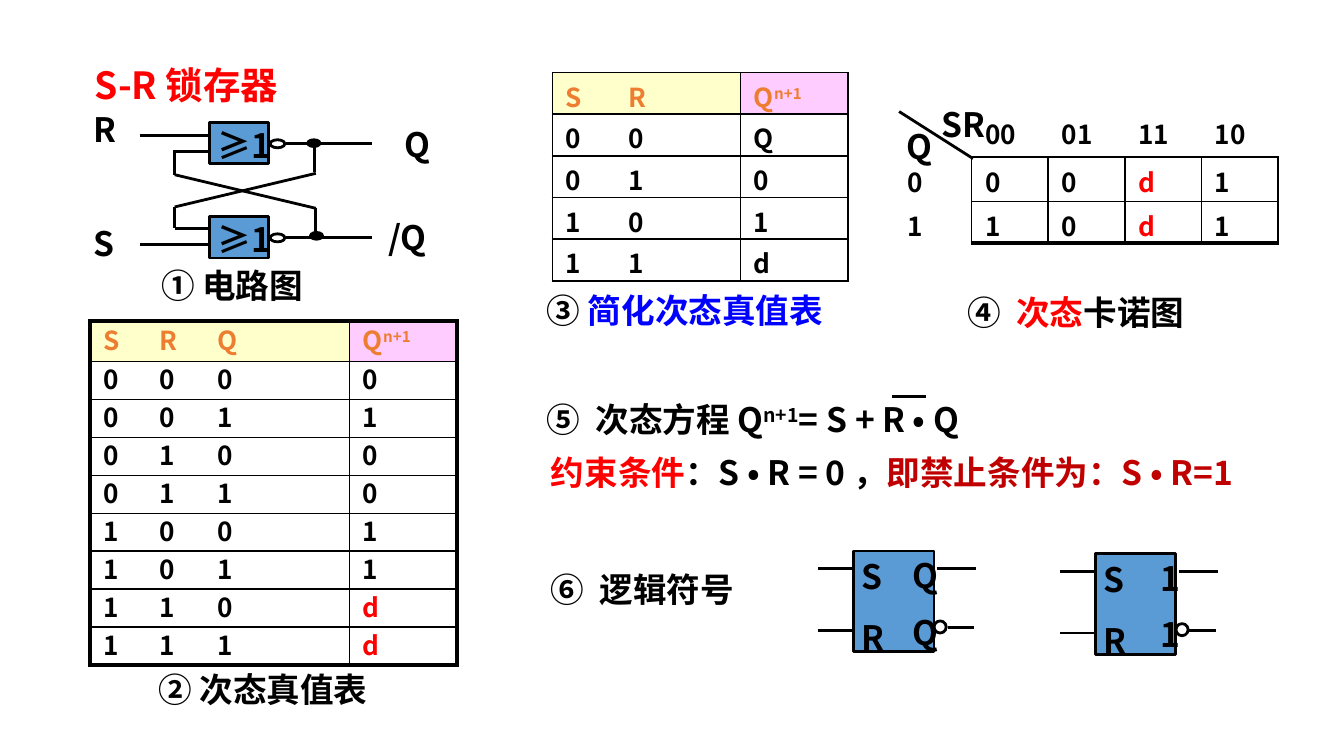
"""Build the S-R latch summary slide with circuit, tables, Karnaugh map and symbols."""
from typing import NamedTuple

from lxml.etree import SubElement
from pptx import Presentation
from pptx.dml.color import RGBColor
from pptx.enum.shapes import MSO_CONNECTOR, MSO_SHAPE as SHAPE
from pptx.enum.text import MSO_ANCHOR as ANCHOR, MSO_AUTO_SIZE as AUTO
from pptx.oxml.ns import qn
from pptx.util import Inches, Pt

JP, SC = "Noto Sans CJK JP", "Noto Sans CJK SC"
BLACK, RED, BLUE, DARK_RED = "000000", "FF0000", "0000FF", "C00000"
ORANGE, GATE, WHITE, YELLOW, PINK = "ED7D31", "5B9BD5", "FFFFFF", "FFFFCC", "FFCCFF"
NO_GRID = "{2D5ABB26-0587-4C30-8999-92F81FD0307C}"


class Run(NamedTuple):
    text: str
    color: str = BLACK
    raised: bool = False


class Label(NamedTuple):
    x: float
    y: float
    w: float
    runs: list[Run]
    h: float = 0.4
    font: str = SC


class Wire(NamedTuple):
    x1: float
    y1: float
    x2: float
    y2: float


class Cell(NamedTuple):
    runs: list[Run]
    fill: str = ""
    borders: dict[str, float] = {}


class Grid(NamedTuple):
    x: float
    y: float
    cols: list[float]
    rows: list[float]
    cells: list[list[Cell]]
    top: float
    tabs: tuple[float, ...] = ()
    spacing: float = 1.0


def rgb(value: str) -> RGBColor:
    return RGBColor.from_string(value)


def write(p, runs: list[Run], font: str, size: float) -> None:
    for run in runs:
        r = p.add_run()
        r.text = run.text
        for name, value in {"name": font, "size": Pt(size), "bold": True}.items():
            setattr(r.font, name, value)
        r.font.color.rgb = rgb(run.color)
        rPr = r._r.get_or_add_rPr()
        SubElement(rPr, qn("a:ea")).set("typeface", font)
        if run.raised:
            rPr.set("baseline", "30000")


def add_label(s, label: Label) -> None:
    sp = s.shapes.add_textbox(*map(Inches, (label.x, label.y, label.w, label.h)))
    tf = sp.text_frame
    fmt = {"word_wrap": True, "auto_size": AUTO.SHAPE_TO_FIT_TEXT,
           "vertical_anchor": ANCHOR.MIDDLE}
    for name, value in fmt.items():
        setattr(tf, name, value)
    write(tf.paragraphs[0], label.runs, label.font, 18)


def add_title(s, text: str) -> None:
    sp = s.shapes.add_textbox(*map(Inches, (0.42, 0.45, 5.75, 0.56)))
    tf = sp.text_frame
    fmt = {"word_wrap": True, "margin_left": Inches(0.28), "margin_top": Inches(0.05)}
    for name, value in fmt.items():
        setattr(tf, name, value)
    p = tf.paragraphs[0]
    p.line_spacing = 0.9
    write(p, [Run(text, RED)], JP, 20)


def add_figure(s, kind: SHAPE, x: float, y: float, w: float, h: float, fill: str = "") -> None:
    sp = s.shapes.add_shape(kind, *map(Inches, (x, y, w, h)))
    sp.shadow.inherit = False
    if fill:
        sp.fill.solid()
        sp.fill.fore_color.rgb = rgb(fill)
    else:
        sp.fill.background()
    sp.line.color.rgb = rgb(BLACK)
    sp.line.width = Pt(1.5)


def add_wire(s, wire: Wire) -> None:
    cx = s.shapes.add_connector(MSO_CONNECTOR.STRAIGHT, *map(Inches, wire))
    cx.line.color.rgb = rgb(BLACK)
    cx.line.width = Pt(1.5)
    SubElement(cx._element.spPr, qn("a:effectLst"))


def set_borders(cell, borders: dict[str, float]) -> None:
    tcPr = cell._tc.get_or_add_tcPr()
    for at, side in enumerate(side for side in "LRTB" if side in borders):
        ln = SubElement(tcPr, qn(f"a:ln{side}"), w=str(Pt(borders[side])))
        SubElement(SubElement(ln, qn("a:solidFill")), qn("a:srgbClr"), val=BLACK)
        tcPr.insert(at, ln)


def add_grid(s, g: Grid) -> None:
    box = map(Inches, (g.x, g.y, sum(g.cols), sum(g.rows)))
    frame = s.shapes.add_table(len(g.rows), len(g.cols), *box)
    table = frame.table
    table.first_row = table.horz_banding = False
    table._tbl.tblPr.find(qn("a:tableStyleId")).text = NO_GRID
    for col, width in zip(table.columns, g.cols):
        col.width = Inches(width)
    for i, height in enumerate(g.rows):
        table.rows[i].height = Inches(height)
        for j, content in enumerate(g.cells[i]):
            cell = table.cell(i, j)
            fmt = {"vertical_anchor": ANCHOR.MIDDLE, "margin_left": Inches(0.1),
                   "margin_right": Inches(0.1), "margin_top": Inches(g.top), "margin_bottom": 0}
            for name, value in fmt.items():
                setattr(cell, name, value)
            if content.fill:
                cell.fill.solid()
                cell.fill.fore_color.rgb = rgb(content.fill)
            else:
                cell.fill.background()
            set_borders(cell, content.borders)
            p = cell.text_frame.paragraphs[0]
            if g.tabs and j == 0:
                tabs = SubElement(p._p.get_or_add_pPr(), qn("a:tabLst"))
                for pos in g.tabs:
                    SubElement(tabs, qn("a:tab"), pos=str(Inches(pos)), algn="l")
            p.line_spacing = g.spacing
            write(p, content.runs, SC, 14)


def truth_cells(inputs: str, outputs: str, edge: float, mark: str) -> list[list[Cell]]:
    n, size = len(outputs), len(inputs)
    next_state = [Run("Q", ORANGE), Run("n+1", ORANGE, True)]
    texts = [([Run("\t".join(inputs), ORANGE)], next_state)]
    for i, out in enumerate(outputs):
        bits = "\t".join(f"{i:0{size}b}")
        texts.append(([Run(bits)], [Run(out, mark if out == "d" else BLACK)]))
    cells = []
    for i, (left, right) in enumerate(texts):
        ends = {"T": edge if i == 0 else 1, "B": edge if i == n else 1}
        fills = (YELLOW, PINK) if i == 0 else (WHITE, WHITE)
        cells.append([Cell(left, fills[0], {"L": edge, "R": 1, **ends}),
                      Cell(right, fills[1], {"L": 1, "R": edge, **ends})])
    return cells


def karnaugh_cells() -> list[list[Cell]]:
    cells = [[Cell([])] + [Cell([Run(t)]) for t in ("00", "01", "11", "10")]]
    for head, values, bottom in (("0", "00d1", 1), ("1", "10d1", 2.25)):
        box = {"L": 1, "R": 1, "T": 1, "B": bottom}
        cells.append([Cell([Run(head)], "", {"R": 1})] +
                     [Cell([Run(v, RED if v == "d" else BLACK)], WHITE, box) for v in values])
    return cells


def add_nor_gate(s, y: float) -> None:
    add_figure(s, SHAPE.RECTANGLE, 1.56, y, 0.44, 0.31, GATE)
    add_label(s, Label(1.52, y - 0.02, 0.73, [Run("≥1")], 0.38))
    add_figure(s, SHAPE.OVAL, 2.01, y + 0.13, 0.11, 0.06)
    add_wire(s, Wire(2.13, y + 0.16, 2.77, y + 0.16))


def add_symbol(s, x: float, y: float, output: str, output_x: float) -> None:
    add_figure(s, SHAPE.RECTANGLE, x, y, 0.6, 0.75, GATE)
    add_figure(s, SHAPE.OVAL, x + 0.6, y + 0.52, 0.09, 0.09)
    for x1, x2, dy in ((-0.26, 0, 0.13), (-0.26, 0, 0.59), (0.62, 0.91, 0.13), (0.7, 0.9, 0.57)):
        add_wire(s, Wire(x + x1, y + dy, x + x2, y + dy))
    for left, dy, text in ((x - 0.04, -0.01, "S"), (x - 0.04, 0.44, "R"),
                           (output_x, -0.02, output), (output_x, 0.4, output)):
        add_label(s, Label(left, y + dy, 0.27, [Run(text)]))


WIRES = [
    Wire(1.04, 1.01, 1.56, 1.01), Wire(1.04, 1.82, 1.56, 1.82),
    Wire(1.29, 1.13, 1.55, 1.13), Wire(1.3, 1.7, 1.57, 1.7),
    Wire(1.3, 1.14, 1.3, 1.3), Wire(1.3, 1.54, 1.3, 1.7),
    Wire(2.34, 1.08, 2.34, 1.28), Wire(2.35, 1.55, 2.35, 1.75),
    Wire(1.3, 1.3, 2.35, 1.55), Wire(2.35, 1.29, 1.3, 1.54),
    Wire(6.64, 2.95, 6.89, 2.95), Wire(7.24, 1.18, 6.69, 0.83),
]
LABELS = [
    Label(0.6, 0.77, 0.44, [Run("R")], 0.38), Label(0.6, 1.62, 0.44, [Run("S")], 0.38),
    Label(2.91, 0.88, 0.44, [Run("Q")], 0.38), Label(2.79, 1.57, 0.61, [Run("/Q")], 0.38),
    Label(6.91, 0.72, 0.67, [Run("SR")]), Label(6.65, 0.89, 0.67, [Run("Q")]),
    Label(1.1, 1.92, 1.42, [Run("① 电路图")], font=JP),
    Label(1.08, 4.93, 2.08, [Run("② 次态真值表")], font=JP),
    Label(3.97, 2.11, 2.34, [Run("③ "), Run("简化次态真值表", BLUE)], font=JP),
    Label(7.1, 2.12, 2.11, [Run("④  "), Run("次态", RED), Run("卡诺图")], font=JP),
    Label(3.97, 2.92, 5.17, [Run("⑤  次态方程 Q"), Run("n+1", raised=True),
                             Run("= S + R • Q")], font=JP),
    Label(4, 3.31, 5.81, [Run("约束条件", RED), Run("：S • R = 0 ，"),
                          Run("即禁止条件为：S • R=1", DARK_RED)], font=JP),
    Label(4, 4.18, 1.75, [Run("⑥  逻辑符号")], font=JP),
]
GRIDS = [
    Grid(0.67, 2.39, [1.93, 0.8], [0.3] + [2.26 / 8] * 8,
         truth_cells("SRQ", "010011dd", 2.25, RED), 0.01, (0.42, 0.85), 0.75),
    Grid(4.11, 0.54, [1.4, 0.8], [0.31] * 5, truth_cells("SR", "Q01d", 1, BLACK), 0.03, (0.47,)),
    Grid(6.65, 0.78, [0.58] + [0.57] * 4, [0.39, 0.33, 0.31], karnaugh_cells(), 0.03),
]


def main() -> None:
    prs = Presentation()
    prs.slide_width, prs.slide_height = Inches(10), Inches(10 * 9 / 16)
    s = prs.slides.add_slide(prs.slide_layouts[6])
    add_title(s, "S-R 锁存器")
    for y in (0.91, 1.61):
        add_nor_gate(s, y)
    for x, y in ((2.29, 1.04), (2.31, 1.73)):
        add_figure(s, SHAPE.OVAL, x, y, 0.09, 0.05, BLACK)
    for grid in GRIDS:
        add_grid(s, grid)
    for wire in WIRES:
        add_wire(s, wire)
    add_symbol(s, 6.35, 4.1, "Q", 6.69)
    add_symbol(s, 8.15, 4.12, "1", 8.54)
    for label in LABELS:
        add_label(s, label)
    prs.save("out.pptx")


if __name__ == "__main__":
    main()
